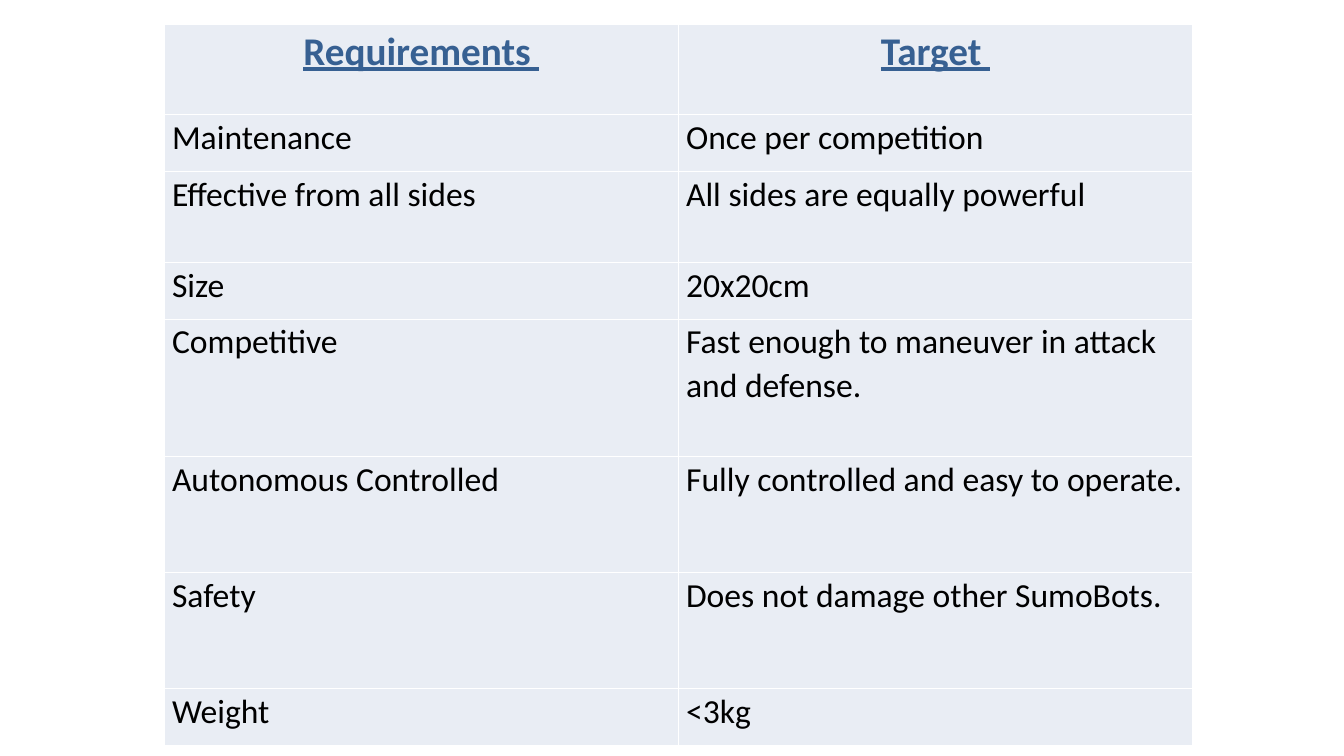
from lxml.etree import SubElement
from pptx import Presentation
from pptx.dml.color import RGBColor
from pptx.enum.text import PP_ALIGN as Align
from pptx.oxml.ns import qn
from pptx.util import Pt

HEADINGS = ("Requirements ", "Target ")
REQUIREMENTS = [
    # requirement, target, row height in points
    ("Maintenance", "Once per competition", 40.5),
    ("Effective from all sides", "All sides are equally powerful", 65),
    ("Size", "20x20cm", 40.5),
    ("Competitive", "Fast enough to maneuver in attack and defense.", 98),
    ("Autonomous Controlled", "Fully controlled and easy to operate.", 83),
    ("Safety", "Does not damage other SumoBots.", 83),
    ("Weight", "<3kg", 40.5),
]
HEADING_HEIGHT = 64.5
COLUMN_WIDTH = 367.2


def color(value):
    return RGBColor.from_string(value)


def add_borders(cell, value, width):
    properties = cell._tc.get_or_add_tcPr()
    for side in ("lnL", "lnR", "lnT", "lnB"):
        line = SubElement(properties, qn(f"a:{side}"), w=str(Pt(width)))
        fill = SubElement(line, qn("a:solidFill"))
        SubElement(fill, qn("a:srgbClr"), val=value)


def fill_cell(cell, text, heading=False):
    add_borders(cell, "FFFFFF", 1)
    cell.fill.solid()
    cell.fill.fore_color.rgb = color("E9EDF4")
    cell.margin_left = cell.margin_right = Pt(5.4)
    cell.margin_top = cell.margin_bottom = 0

    para = cell.text_frame.paragraphs[0]
    para.alignment = Align.CENTER if heading else Align.LEFT
    para.line_spacing = 1.07
    span = para.add_run()
    span.text = text
    span.font.name = "Calibri"
    span.font.size = Pt(28 if heading else 24)
    span.font.bold = span.font.underline = heading
    span.font.color.rgb = color("376092" if heading else "000000")


def add_requirements_table(page, left, top):
    rows = [(*HEADINGS, HEADING_HEIGHT), *REQUIREMENTS]
    height = sum(row[-1] for row in rows)
    frame = page.shapes.add_table(
        len(rows), len(HEADINGS), Pt(left), Pt(top),
        Pt(COLUMN_WIDTH * len(HEADINGS)), Pt(height))
    table = frame.table
    for row_index, (*texts, row_height) in enumerate(rows):
        table.rows[row_index].height = Pt(row_height)
        for column_index, text in enumerate(texts):
            fill_cell(table.cell(row_index, column_index), text,
                      heading=row_index == 0)


def main():
    deck = Presentation()
    deck.slide_width, deck.slide_height = Pt(960), Pt(540)
    page = deck.slides.add_slide(deck.slide_layouts[6])
    add_requirements_table(page, 117.5, 17.5)
    deck.save("out.pptx")


if __name__ == "__main__":
    main()
